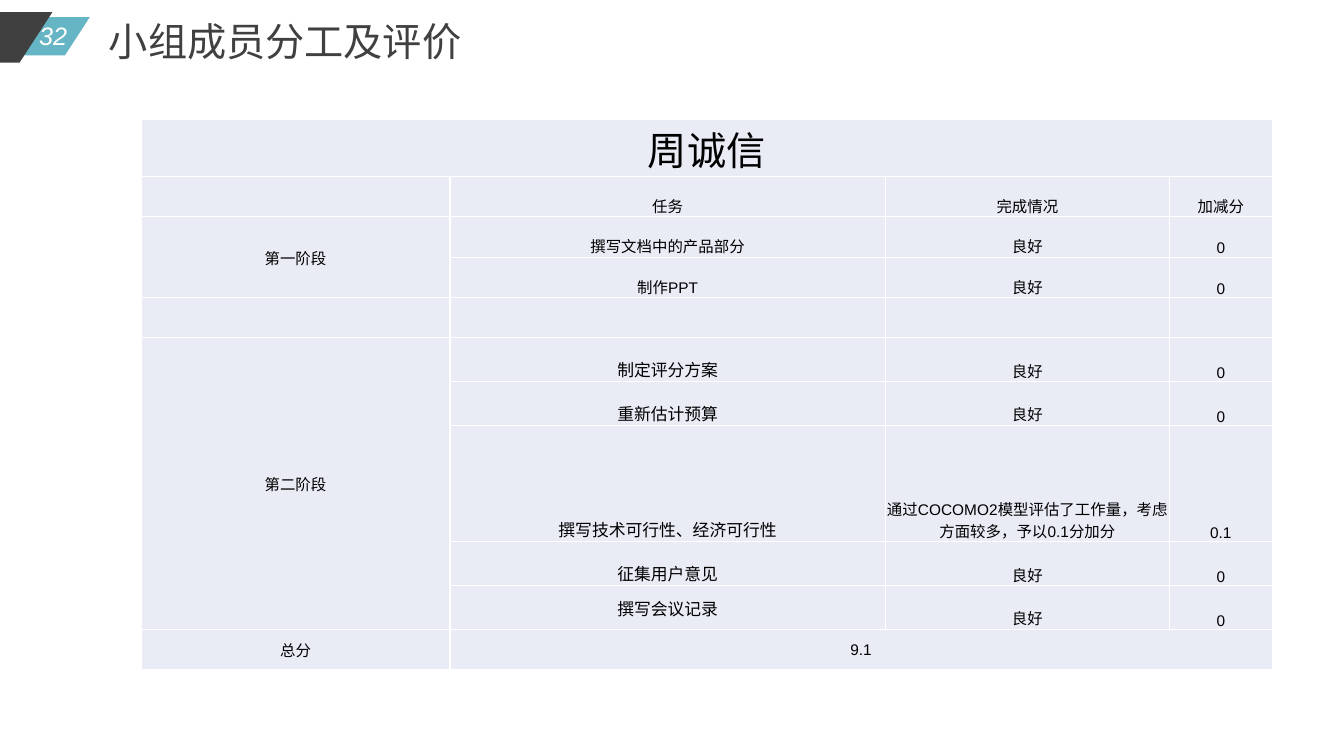
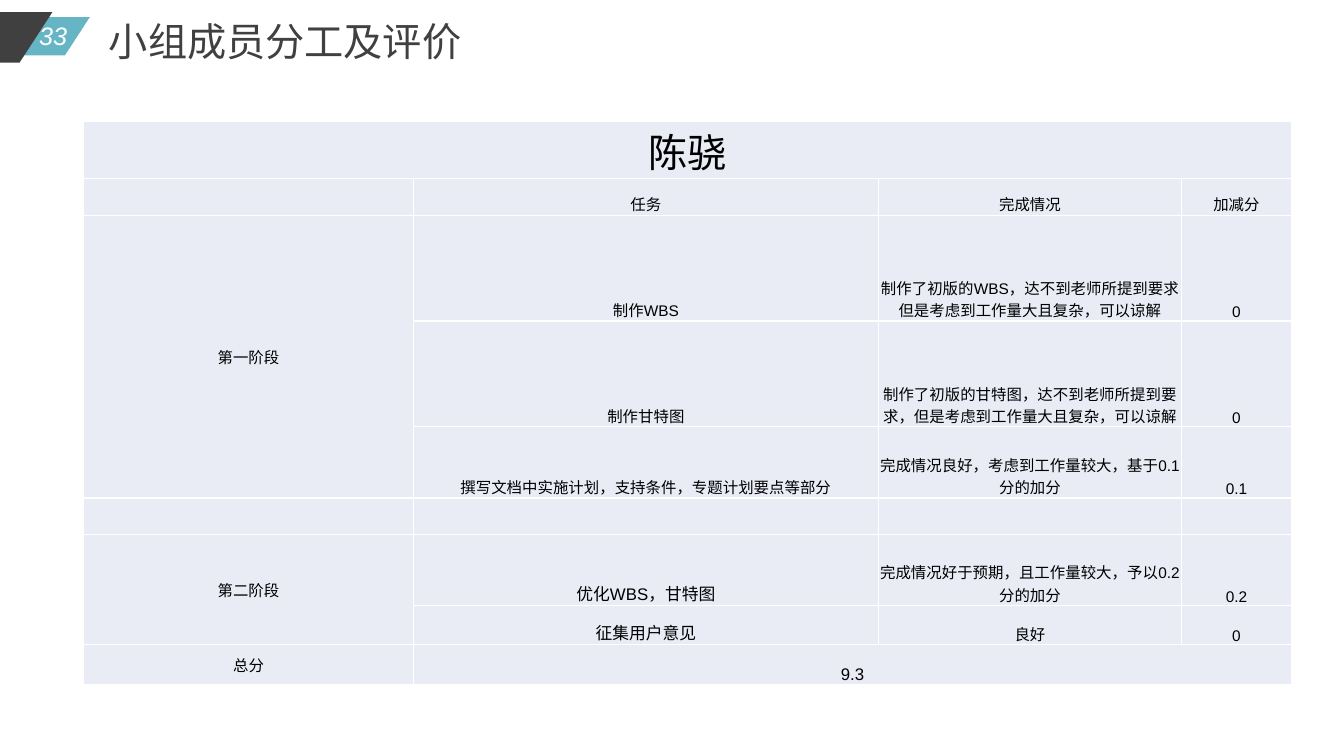
import lxml.etree
import pptx
import pptx.dml.color
import pptx.enum.shapes
import pptx.enum.text
import pptx.oxml
import pptx.oxml.ns
import pptx.util

COLOURS = {"teal": "66B5C4", "dark": "404040", "white": "FFFFFF",
           "cell": "E9EBF5", "black": "000000"}
ANCHOR = pptx.enum.text.MSO_ANCHOR
ALIGN = pptx.enum.text.PP_ALIGN
HEADINGS = ("", "任务", "完成情况", "加减分")
COLUMN_SHARES = (27.3, 38.5, 25.1, 9.1)
GOOD = "良好"

MEMBERS = [
    {
        "number": "32", "name": "周诚信", "total": "9.1",
        "place": (10.5, 15.73, 84.17),
        "heights": {"name": 6.53, "plain": 5.33, "total": 5.33},
        "total_format": {"size": 11, "anchor": ANCHOR.MIDDLE},
        "phases": [
            ("第一阶段", 11, [
                (5.33, "撰写文档中的产品部分", GOOD, "0"),
                (5.33, "制作PPT", GOOD, "0"),
            ]),
            ("第二阶段", 12, [
                (5.8, "制定评分方案", GOOD, "0"),
                (5.8, "重新估计预算", GOOD, "0"),
                (15.4, "撰写技术可行性、经济可行性",
                 "通过COCOMO2模型评估了工作量，考虑方面较多，予以0.1分加分", "0.1"),
                (5.8, "征集用户意见", GOOD, "0"),
                (5.8, "撰写会议记录", GOOD, "0", ANCHOR.MIDDLE),
            ]),
        ],
    },
    {
        "number": "33", "name": "陈骁", "total": "9.3",
        "place": (6.23, 16, 89.87),
        "heights": {"name": 4.84, "plain": 4.84, "total": 5.2},
        "total_format": {"size": 12, "anchor": ANCHOR.BOTTOM},
        "phases": [
            ("第一阶段", 11, [
                (14, "制作WBS",
                 "制作了初版的WBS，达不到老师所提到要求，但是考虑到工作量大且复杂，可以谅解", "0"),
                (14, "制作甘特图",
                 "制作了初版的甘特图，达不到老师所提到要求，但是考虑到工作量大且复杂，可以谅解", "0"),
                (9.4, "撰写文档中实施计划，支持条件，专题计划要点等部分",
                 "完成情况良好，考虑到工作量较大，基于0.1分的加分", "0.1"),
            ]),
            ("第二阶段", 12, [
                (9.4, "优化WBS，甘特图",
                 "完成情况好于预期，且工作量较大，予以0.2分的加分", "0.2"),
                (5.2, "征集用户意见", GOOD, "0"),
            ]),
        ],
    },
]


def colour(name):
    return pptx.dml.color.RGBColor.from_string(COLOURS[name])


def set_all(target, values):
    for name, value in values.items():
        setattr(target, name, value)


class Report:
    def __init__(self):
        self.deck = pptx.Presentation()
        set_all(self.deck, {"slide_width": pptx.util.Inches(13.33),
                            "slide_height": pptx.util.Inches(7.5)})
        self.layout = self.deck.slide_layouts[5]
        self.page = None

    def across(self, share):
        return round(self.deck.slide_width * share / 100)

    def down(self, share):
        return round(self.deck.slide_height * share / 100)

    def place(self, left, top, width, height):
        return (self.across(left), self.down(top),
                self.across(width), self.down(height))

    def new_page(self):
        first = self.page is None
        self.page = self.deck.slides.add_slide(self.layout)
        if first:
            self.band("teal", (-8.25, 2.27, 14.93, 5.07))
            self.band("dark", (-15.6, 1.6, 19.5, 6.67))

    def band(self, fill, area):
        shape = self.page.shapes.add_shape(
            pptx.enum.shapes.MSO_SHAPE.PARALLELOGRAM, *self.place(*area))
        shape.adjustments[0] = 0.65
        shape.shadow.inherit = False
        shape.fill.solid()
        shape.fill.fore_color.rgb = colour(fill)
        shape.line.fill.background()
        self.layout.shapes.element.append(shape.element)

    def add_span(self, frame, text, size, tint, align, face="Arial", italic=False):
        para = frame.paragraphs[0]
        para.alignment = align
        span = para.add_run()
        span.text = text
        set_all(span.font, {"size": pptx.util.Pt(size), "name": face,
                            "italic": italic, "bold": False})
        span.font.color.rgb = colour(tint)
        return span

    def line_box(self, box, area, anchor):
        names = ("left", "top", "width", "height")
        set_all(box, dict(zip(names, self.place(*area))))
        set_all(box.text_frame, {"word_wrap": False, "vertical_anchor": anchor,
                                 "auto_size": pptx.enum.text.MSO_AUTO_SIZE.NONE})
        return box.text_frame

    def title(self, text):
        frame = self.line_box(self.page.shapes.title, (7.35, 1.6, 28.06, 7.6),
                              ANCHOR.MIDDLE)
        face = "Noto Sans CJK SC"
        span = self.add_span(frame, text, 28, "dark", ALIGN.LEFT, face)
        properties = span.font._element
        east = lxml.etree.SubElement(properties, pptx.oxml.ns.qn("a:ea"))
        east.set("typeface", face)

    def number(self, text):
        area = (2.03, 2, 3.83, 5.33)
        box = self.page.shapes.add_textbox(*self.place(*area))
        frame = self.line_box(box, area, ANCHOR.TOP)
        self.add_span(frame, text, 18, "white", ALIGN.CENTER, italic=True)

    def border(self, cell):
        properties = cell._tc.get_or_add_tcPr()
        for position, side in enumerate(("lnL", "lnR", "lnT", "lnB")):
            line = pptx.oxml.parse_xml(
                f'<a:{side} {pptx.oxml.ns.nsdecls("a")} w="12700"><a:solidFill>'
                f'<a:srgbClr val="{COLOURS["white"]}"/></a:solidFill></a:{side}>')
            properties.insert(position, line)

    def cell(self, cell, text, size=11, anchor=ANCHOR.BOTTOM):
        cell.vertical_anchor = anchor
        if text:
            self.add_span(cell.text_frame, text, size, "black", ALIGN.CENTER)

    def table(self, member):
        left, top, width = member["place"]
        plain = member["heights"]["plain"]
        phases = member["phases"]
        heights = [member["heights"]["name"], plain]
        for index, (_, _, tasks) in enumerate(phases):
            heights += [plain] * (index > 0) + [task[0] for task in tasks]
        heights.append(member["heights"]["total"])
        area = self.place(left, top, width, sum(heights))
        table = self.page.shapes.add_table(
            len(heights), len(COLUMN_SHARES), *area).table
        set_all(table, {"first_row": False, "horz_banding": False})
        for column, share in zip(table.columns, COLUMN_SHARES):
            column.width = round(area[2] * share / 100)
        for row, height in zip(table.rows, heights):
            row.height = self.down(height)
        edge = pptx.util.Inches(0.01)
        for cell in table.iter_cells():
            set_all(cell, {"margin_left": edge, "margin_right": edge,
                           "margin_top": edge, "margin_bottom": 0})
            cell.fill.solid()
            cell.fill.fore_color.rgb = colour("cell")
            self.border(cell)

        table.cell(0, 0).merge(table.cell(0, 3))
        self.cell(table.cell(0, 0), member["name"], 28)
        for column, heading in enumerate(HEADINGS):
            self.cell(table.cell(1, column), heading)
        row = 2
        for phase, size, tasks in phases:
            table.cell(row, 0).merge(table.cell(row + len(tasks) - 1, 0))
            self.cell(table.cell(row, 0), phase, anchor=ANCHOR.MIDDLE)
            for offset, (_, task, note, score, *anchor) in enumerate(tasks):
                current = row + offset
                self.cell(table.cell(current, 1), task, size, *anchor)
                self.cell(table.cell(current, 2), note)
                self.cell(table.cell(current, 3), score)
            row += len(tasks) + 1
        last = len(heights) - 1
        table.cell(last, 1).merge(table.cell(last, 3))
        self.cell(table.cell(last, 0), "总分", anchor=ANCHOR.MIDDLE)
        self.cell(table.cell(last, 1), member["total"], **member["total_format"])


def main():
    report = Report()
    for member in MEMBERS:
        report.new_page()
        report.title("小组成员分工及评价")
        report.number(member["number"])
        report.table(member)
    report.deck.save("out.pptx")


if __name__ == "__main__":
    main()
